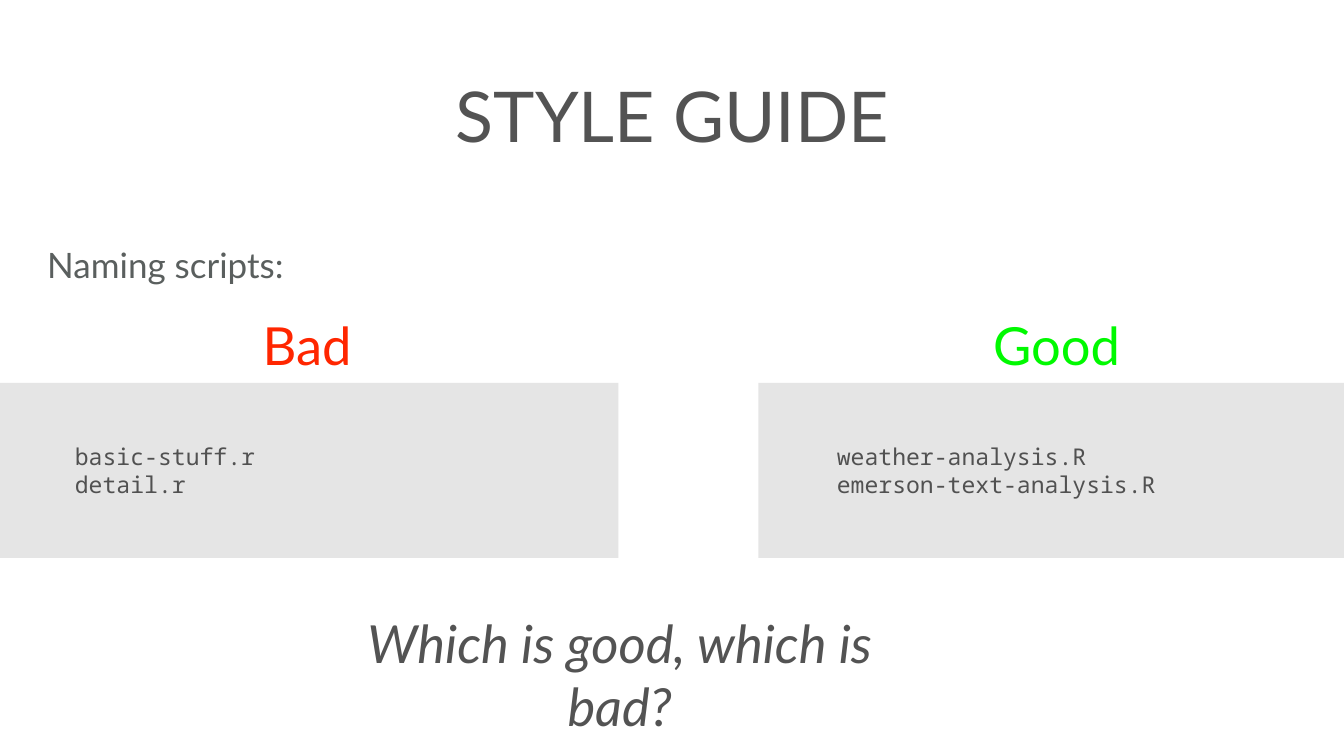
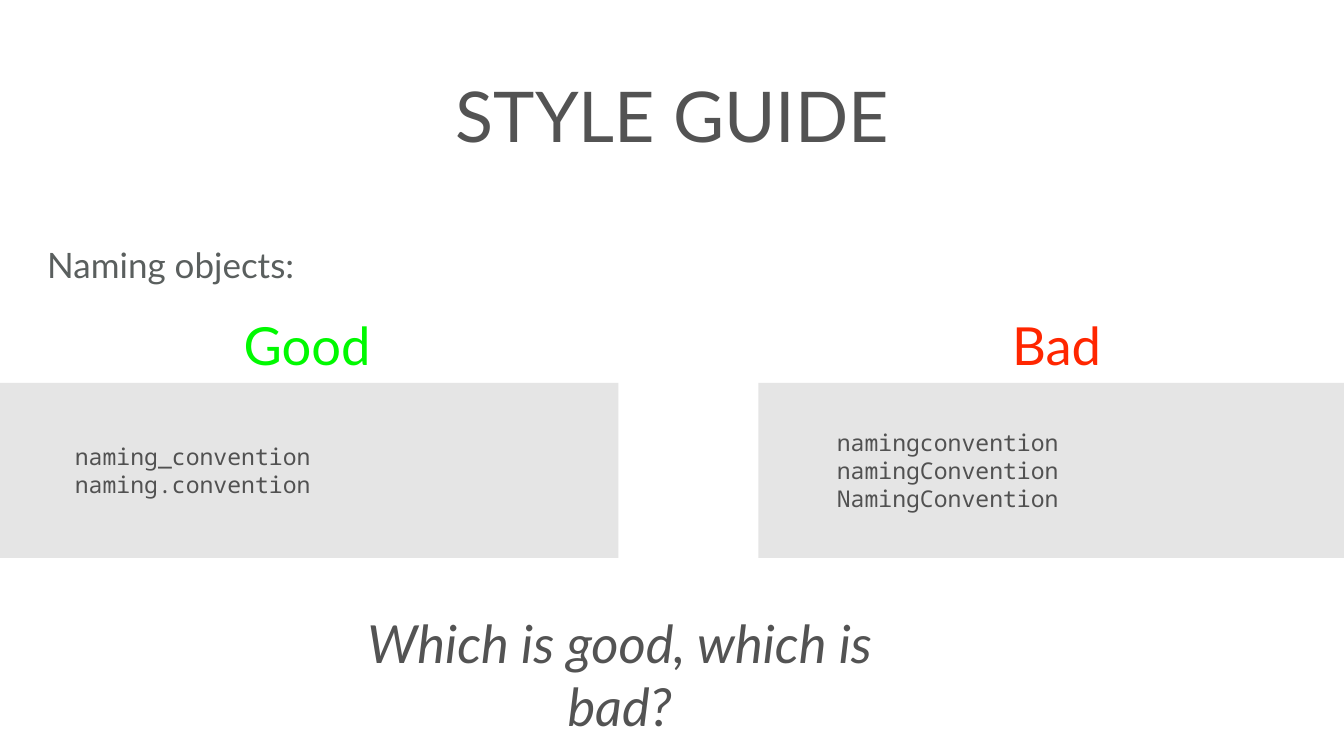
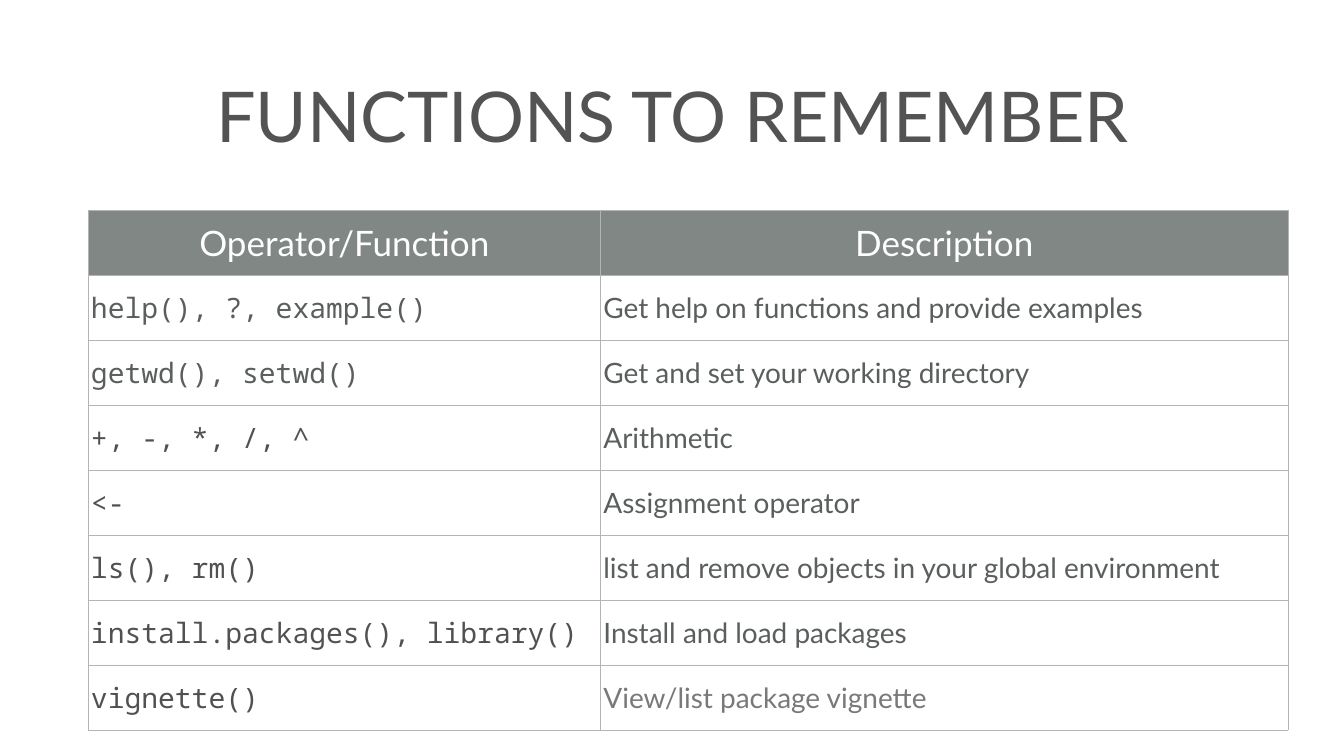
"""Build three slides on R naming style and the functions to remember."""
from dataclasses import dataclass

from lxml import etree
from pptx import Presentation
from pptx.dml.color import RGBColor
from pptx.enum.shapes import MSO_SHAPE
from pptx.enum.text import MSO_ANCHOR, MSO_AUTO_SIZE, PP_ALIGN
from pptx.oxml.ns import qn
from pptx.util import Pt

RECT = MSO_SHAPE.RECTANGLE
TOP, MIDDLE = MSO_ANCHOR.TOP, MSO_ANCHOR.MIDDLE
FIT = MSO_AUTO_SIZE.SHAPE_TO_FIT_TEXT
LEFT, CENTER = PP_ALIGN.LEFT, PP_ALIGN.CENTER


@dataclass(frozen=True)
class Theme:
    sans: str = "Lato"
    mono: str = "Noto Sans Mono"
    title: str = "535353"
    code: str = "515151"
    body: str = "5A5F5E"
    muted: str = "797979"
    panel: str = "E5E5E5"
    header: str = "808785"
    grid: str = "B4B4B4"
    white: str = "FFFFFF"
    good: str = "00F900"
    bad: str = "FF2600"
    title_size: int = 100
    label_size: int = 75
    lead_size: int = 50
    cell_size: int = 40
    code_size: int = 33
    inset: int = 4
    code_indent: int = 108


T = Theme()
PANELS = [(-5, 888.5), (1083.5, 853)]
LABELS = {"Good": (T.good, 190), "Bad": (T.bad, 137.5)}
COLUMNS = [732, 982]
ROW_HEIGHT = 92.9
HEADINGS = ["Operator/Function", "Description"]
FUNCTIONS = [
    ("help(), ?, example()", T.body, "Get help on functions and provide examples", T.body),
    ("getwd(), setwd()", T.body, "Get and set your working directory", T.body),
    ("+, -, *, /, ^", T.code, "Arithmetic", T.body),
    ("<-", T.code, "Assignment operator", T.body),
    ("ls(), rm()", T.code, "list and remove objects in your global environment", T.body),
    ("install.packages(), library()", T.code, "Install and load packages", T.body),
    ("vignette()", T.code, "View/list package vignette", T.muted),
]


class Deck:
    def __init__(self, theme):
        self.t = theme
        self.prs = Presentation()
        self.prs.slide_width, self.prs.slide_height = Pt(1920), Pt(1080)
        self.s = None

    def slide(self, title):
        self.s = self.prs.slides.add_slide(self.prs.slide_layouts[6])
        self.text(title, 53, 28, 1815, 270, self.t.title_size, self.t.title)

    def style(self, p, size, color, font=None, align=LEFT, italic=False):
        p.alignment = align
        p.font.name = font or self.t.sans
        p.font.size = Pt(size)
        p.font.italic = italic
        p.font.color.rgb = RGBColor.from_string(color)

    def inset(self, box):
        box.margin_left = box.margin_right = Pt(self.t.inset)
        box.margin_top = box.margin_bottom = Pt(self.t.inset)
        box.vertical_anchor = MIDDLE

    def text(self, text, x, y, w, h, size, color, align=CENTER, anchor=MIDDLE,
             italic=False, fit=False):
        tf = self.s.shapes.add_textbox(Pt(x), Pt(y), Pt(w), Pt(h)).text_frame
        self.inset(tf)
        tf.vertical_anchor = anchor
        tf.word_wrap = not fit
        if fit:
            tf.auto_size = FIT
        tf.text = text
        self.style(tf.paragraphs[0], size, color, align=align, italic=italic)

    def code_panel(self, lines, x, y, w, h):
        sp = self.s.shapes.add_shape(RECT, Pt(x), Pt(y), Pt(w), Pt(h))
        sp.shadow.inherit = False
        sp.fill.solid()
        sp.fill.fore_color.rgb = RGBColor.from_string(self.t.panel)
        sp.line.fill.background()
        tf = sp.text_frame
        self.inset(tf)
        tf.word_wrap = True
        tf.text = "\n".join(lines)
        for p in tf.paragraphs:
            pPr = p._p.get_or_add_pPr()
            pPr.set("marL", "0")
            pPr.set("indent", str(Pt(self.t.code_indent)))
            self.style(p, self.t.code_size, self.t.code, self.t.mono)

    def comparison(self, lead, examples):
        self.slide("STYLE GUIDE")
        self.text(lead, 63.5, 343.5, 1350, 84, self.t.lead_size, self.t.body, LEFT, TOP)
        for (x, w), (label, lines) in zip(PANELS, examples):
            self.code_panel(lines, x, 547, w, 250)
            color, label_w = LABELS[label]
            self.text(label, x + (w - label_w) / 2 - 0.5, 443, label_w, 98.5,
                      self.t.label_size, color, fit=True)
        self.text("Which is good, which is bad?", 446, 913.5, 878.5, 98.5,
                  self.t.label_size, self.t.title, italic=True, fit=True)

    def borders(self, cell):
        tcPr = cell._tc.get_or_add_tcPr()
        for side in ("lnL", "lnR", "lnT", "lnB"):
            ln = etree.SubElement(tcPr, qn(f"a:{side}"), w=str(Pt(1)))
            fill = etree.SubElement(ln, qn("a:solidFill"))
            etree.SubElement(fill, qn("a:srgbClr"), val=self.t.grid)

    def cell(self, cell, text, size, color, font=None, align=LEFT, fill=None):
        self.inset(cell)
        self.borders(cell)
        if fill:
            cell.fill.solid()
            cell.fill.fore_color.rgb = RGBColor.from_string(fill)
        else:
            cell.fill.background()
        cell.text = text
        self.style(cell.text_frame.paragraphs[0], size, color, font, align)

    def function_table(self, x, y):
        n = len(FUNCTIONS) + 1
        table = self.s.shapes.add_table(n, len(COLUMNS), Pt(x), Pt(y), Pt(sum(COLUMNS)),
                                        Pt(n * ROW_HEIGHT)).table
        table.horz_banding = False
        for column, width in zip(table.columns, COLUMNS):
            column.width = Pt(width)
        for row in table.rows:
            row.height = Pt(ROW_HEIGHT)
        for c, heading in enumerate(HEADINGS):
            self.cell(table.cell(0, c), heading, self.t.lead_size, self.t.white,
                      align=CENTER, fill=self.t.header)
        for r, (code, code_color, use, use_color) in enumerate(FUNCTIONS, 1):
            self.cell(table.cell(r, 0), code, self.t.cell_size, code_color, self.t.mono)
            self.cell(table.cell(r, 1), use, self.t.cell_size, use_color)


def main():
    deck = Deck(T)
    deck.comparison("Naming scripts:", [
        ("Bad", ["basic-stuff.r", "detail.r"]),
        ("Good", ["weather-analysis.R", "emerson-text-analysis.R"]),
    ])
    deck.comparison("Naming objects:", [
        ("Good", ["naming_convention", "naming.convention"]),
        ("Bad", ["namingconvention", "namingConvention", "NamingConvention"]),
    ])
    deck.slide("FUNCTIONS TO REMEMBER")
    deck.function_table(126, 300)
    deck.prs.save("out.pptx")


if __name__ == "__main__":
    main()
